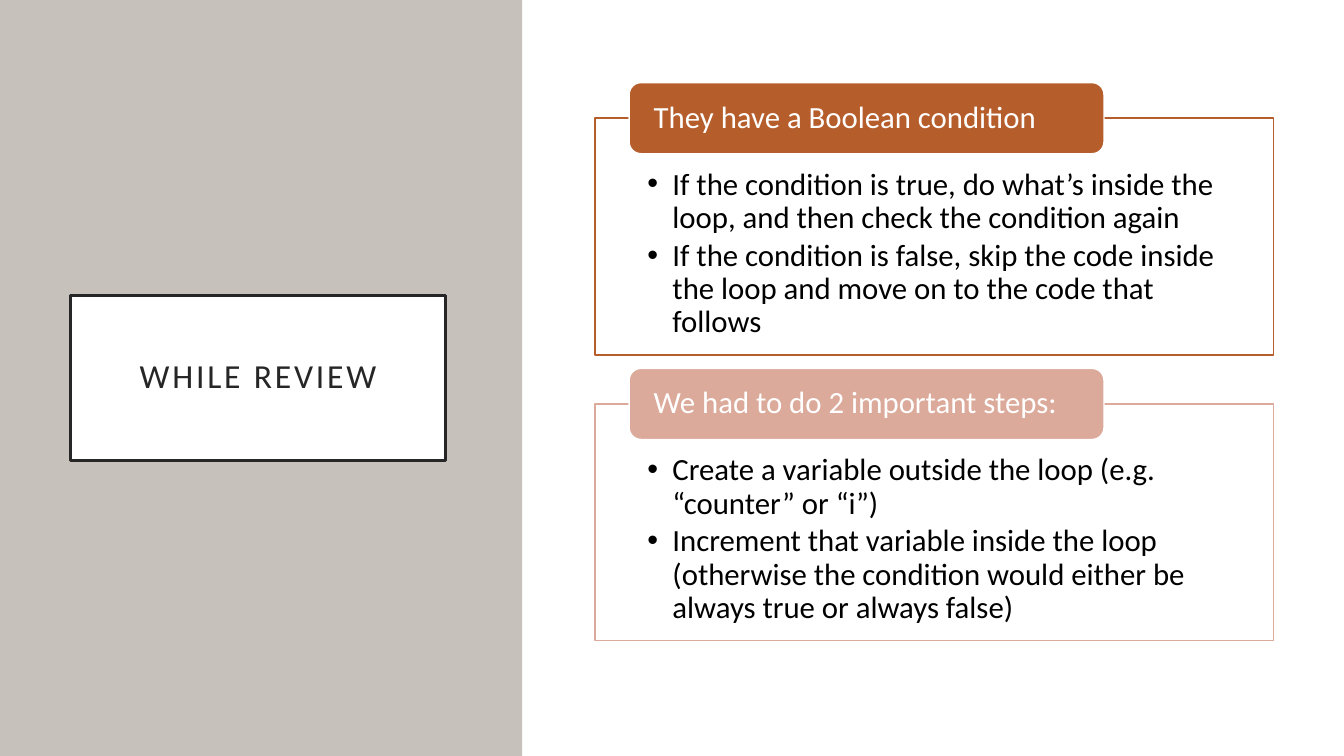
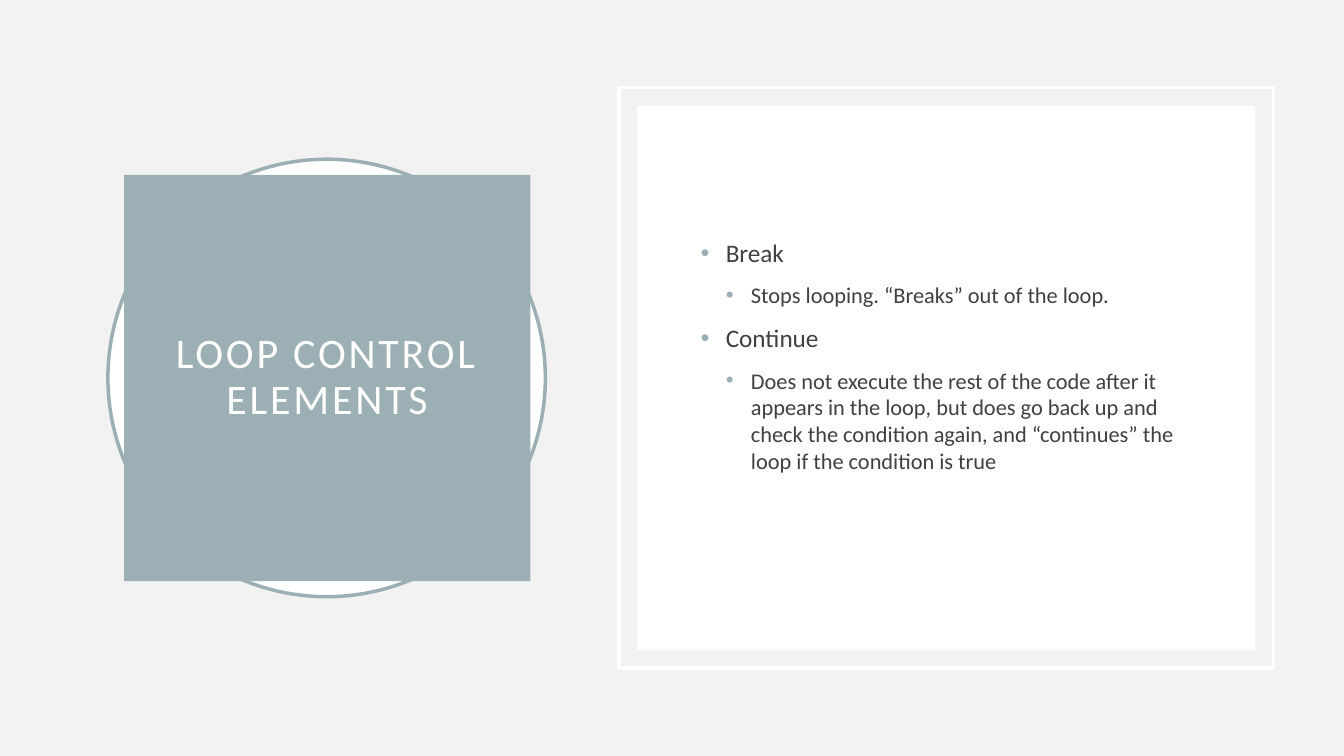
from lxml.etree import SubElement
from pptx import Presentation
from pptx.dml.color import RGBColor
from pptx.enum.shapes import MSO_SHAPE
from pptx.enum.text import MSO_ANCHOR, PP_ALIGN
from pptx.oxml.ns import qn
from pptx.util import Inches, Pt

WHITE = RGBColor(0xFF, 0xFF, 0xFF)
BLACK = RGBColor(0, 0, 0)
INK = RGBColor(0x26, 0x26, 0x26)
GREY = RGBColor(0x40, 0x40, 0x40)
MIST = RGBColor(0xF2, 0xF2, 0xF2)
STONE = RGBColor(0xC6, 0xC1, 0xBA)
RUST = RGBColor(0xB6, 0x5D, 0x2C)
ROSE = RGBColor(0xDB, 0xAA, 0x9B)
SLATE = RGBColor(0x9B, 0xAF, 0xB5)

FONT = "Calibri"
TITLE = {"alignment": PP_ALIGN.CENTER, "line_spacing": 0.9}
TAB = {"alignment": PP_ALIGN.LEFT, "line_spacing": 0.9}
POINT = {"alignment": PP_ALIGN.LEFT, "line_spacing": 0.9, "space_after": Pt(3.3)}
BODY = {"alignment": PP_ALIGN.LEFT, "space_before": Pt(10)}

prs = Presentation()
prs.slide_width, prs.slide_height = Inches(13.333), Inches(7.5)
W, H = prs.slide_width / 100, prs.slide_height / 100


def add_box(s, kind, left, width, height, top=None, fill=None, line=None, weight=1,
            margins=(0.1, 0.05, 0.1, 0.05), anchor=MSO_ANCHOR.MIDDLE):
    top = (100 - height) / 2 if top is None else top
    sp = s.shapes.add_shape(kind, int(left * W), int(top * H), int(width * W), int(height * H))
    sp.shadow.inherit = False
    for part, colour in ((sp.fill, fill), (sp.line.fill, line)):
        if colour is None:
            part.background()
        else:
            part.solid()
            part.fore_color.rgb = colour
    if line is not None:
        sp.line.width = Pt(weight)
    tf = sp.text_frame
    tf.word_wrap, tf.vertical_anchor = True, anchor
    for side, inset in zip(("left", "top", "right", "bottom"), margins):
        setattr(tf, f"margin_{side}", Inches(inset))
    return tf


def add_text(tf, text, size, colour, style, spacing=0, bullet=None, indent=0.25):
    p = tf.add_paragraph() if tf.text else tf.paragraphs[0]
    for name, value in style.items():
        setattr(p, name, value)
    r = p.add_run()
    r.text = text
    for name, value in {"name": FONT, "size": Pt(size)}.items():
        setattr(r.font, name, value)
    r.font.color.rgb = colour
    if spacing:
        r.font._element.set("spc", str(spacing * 100))
    if bullet is not None:
        pPr = p._p.get_or_add_pPr()
        pPr.set("marL", str(Inches(indent)))
        pPr.set("indent", str(-Inches(0.25)))
        SubElement(SubElement(pPr, qn("a:buClr")), qn("a:srgbClr")).set("val", str(bullet))
        SubElement(pPr, qn("a:buFont")).set("typeface", "Arial")
        SubElement(pPr, qn("a:buChar")).set("char", "•")


slides = []
for background in (WHITE, MIST):
    s = prs.slides.add_slide(prs.slide_layouts[6])
    s.background.fill.solid()
    s.background.fill.fore_color.rgb = background
    slides.append(s)
review, control = slides

add_box(review, MSO_SHAPE.RECTANGLE, 0, 38.86, 100, fill=STONE)
add_box(control, MSO_SHAPE.OVAL, 8.03, 32.55, 57.87, fill=WHITE, line=SLATE, weight=2.5)

titles = [
    (review, "WHILE REVIEW", 24, INK, 5.25, 27.91, 21.87, WHITE, INK),
    (control, "LOOP CONTROL ELEMENTS", 30, WHITE, 9.23, 30.23, 53.73, SLATE, None),
]
for s, text, size, colour, left, width, height, fill, line in titles:
    tf = add_box(s, MSO_SHAPE.RECTANGLE, left, width, height, fill=fill, line=line,
                 weight=2.5, margins=(0.2,) * 4)
    add_text(tf, text, size, colour, TITLE, spacing=2)

cards = [
    ("They have a Boolean condition", RUST, [
        "If the condition is true, do what’s inside the loop, and then check the condition again",
        "If the condition is false, skip the code inside the loop and move on to the code that follows",
    ]),
    ("We had to do 2 important steps:", ROSE, [
        "Create a variable outside the loop (e.g. “counter” or “i”)",
        "Increment that variable inside the loop (otherwise the condition would either be always true or always false)",
    ]),
]
FIRST_TAB, PITCH, TAB_H = 10.93, 37.8, 9.4
for i, (heading, colour, points) in enumerate(cards):
    top = FIRST_TAB + i * PITCH
    tf = add_box(review, MSO_SHAPE.RECTANGLE, 44.26, 50.49, 31.33, top + TAB_H / 2, WHITE, colour,
                 margins=(0.52, 0.5, 0.52, 0.17), anchor=MSO_ANCHOR.TOP)
    for point in points:
        add_text(tf, point, 22, BLACK, POINT, bullet=BLACK)
    tf = add_box(review, MSO_SHAPE.ROUNDED_RECTANGLE, 46.81, 35.33, TAB_H, top, colour, WHITE,
                 margins=(0.21, 0, 0.21, 0))
    add_text(tf, heading, 22, WHITE, TAB)

add_box(control, MSO_SHAPE.RECTANGLE, 46.06, 48.69, 76.8, line=WHITE, weight=2.5)
add_box(control, MSO_SHAPE.RECTANGLE, 47.41, 45.99, 72, fill=WHITE)
tf = add_box(control, MSO_SHAPE.RECTANGLE, 51.39, 38.18, 57.87, margins=(0.1, 0.05, 0.1, 0.49))
terms = [
    ("Break", "Stops looping. “Breaks” out of the loop."),
    ("Continue", "Does not execute the rest of the code after it appears in the loop, but does go back up and "
                 "check the condition again, and “continues” the loop if the condition is true"),
]
for term, meaning in terms:
    add_text(tf, term, 18, GREY, BODY, bullet=SLATE)
    add_text(tf, meaning, 16, GREY, BODY, bullet=SLATE, indent=0.5)

prs.save("out.pptx")
